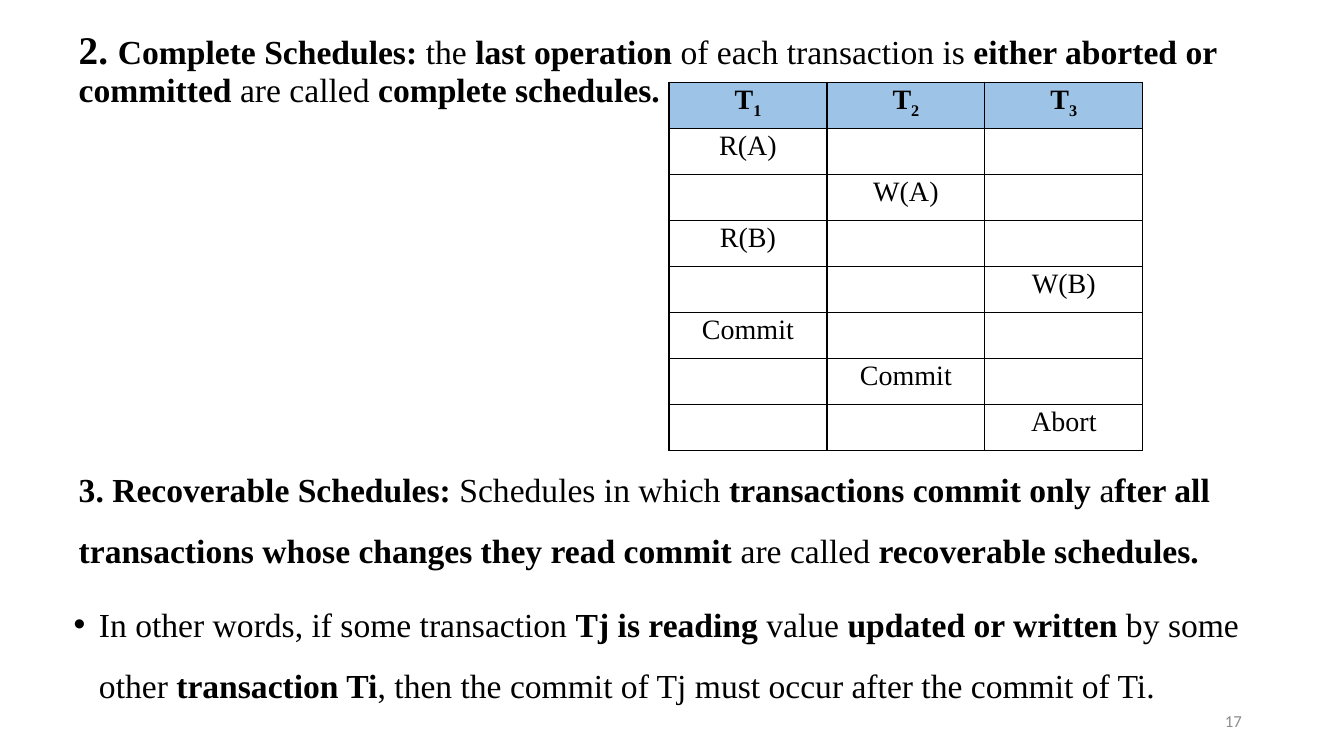
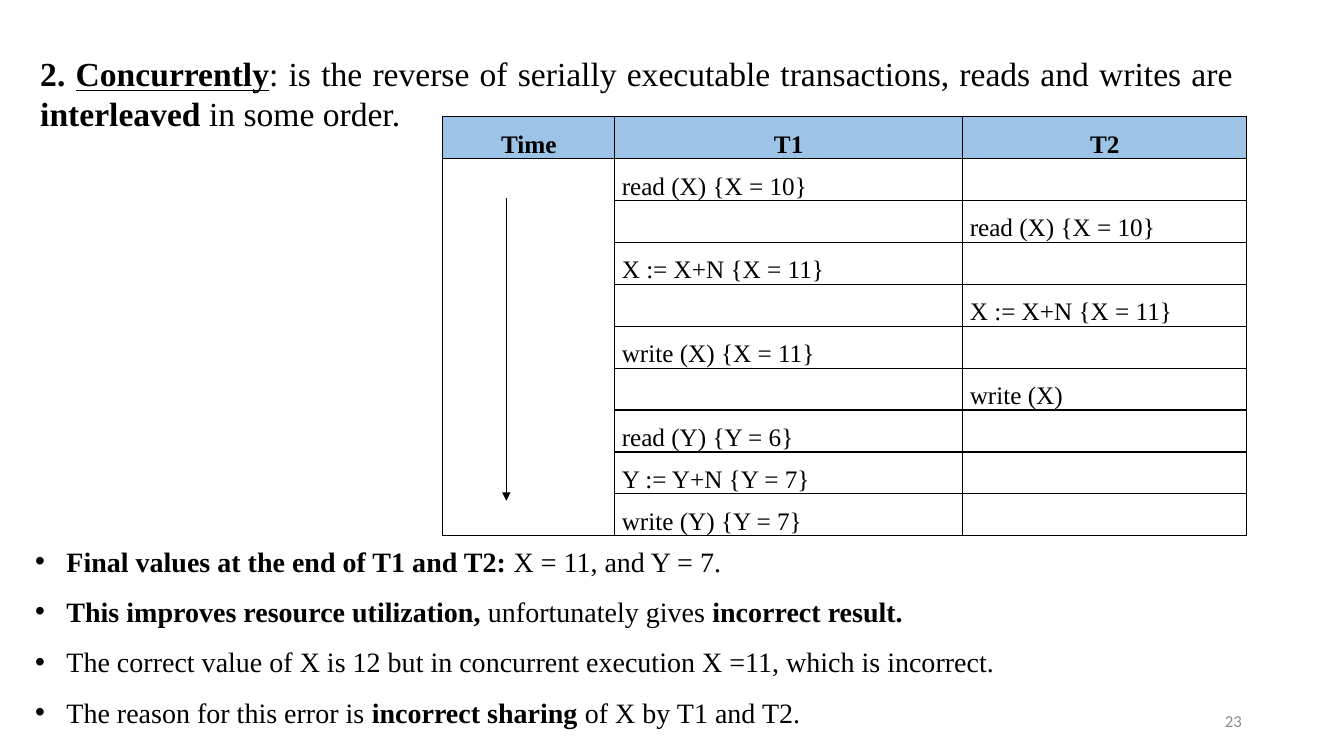
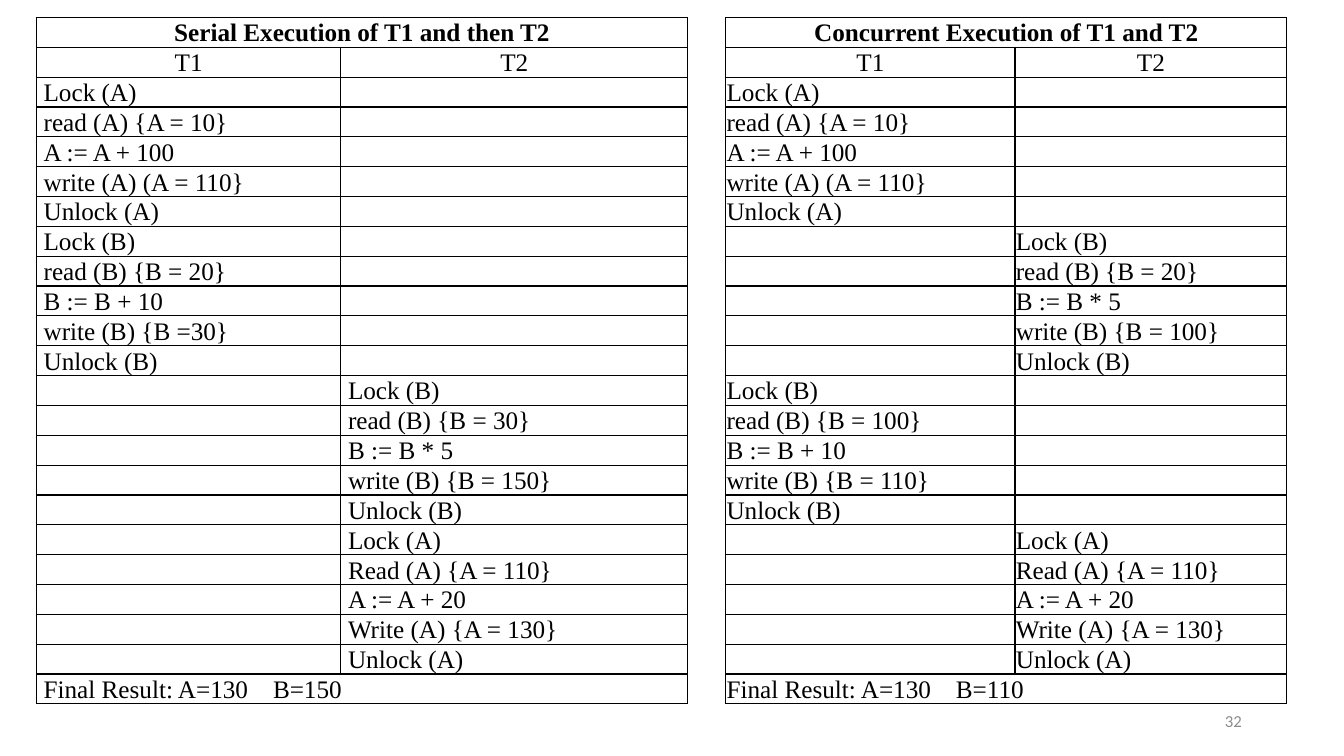
from dataclasses import dataclass
from typing import NamedTuple

from lxml import etree
from pptx import Presentation
from pptx import util as u
from pptx.dml.color import RGBColor
from pptx.enum import shapes, text
from pptx.oxml.ns import qn

SERIF, SANS = "Times New Roman", "Calibri"
BLACK, GREY, HEADER_BLUE = "000000", "8C8C8C", "9DC3E6"
TITLE_AND_BODY, BLANK = 1, 6
LEFT, CENTER = text.PP_ALIGN.LEFT, text.PP_ALIGN.CENTER
RIGHT, JUSTIFY = text.PP_ALIGN.RIGHT, text.PP_ALIGN.JUSTIFY
RESULT_TAB = 5.78


class Box(NamedTuple):
    """Position and size in centimetres."""
    left: float
    top: float
    width: float
    height: float


class Span(NamedTuple):
    words: str
    bold: bool = False
    size: float | None = None
    underline: bool = False
    subscript: bool = False


@dataclass
class Para:
    spans: list[Span]
    size: float
    line: float
    before: float = 0
    align: text.PP_ALIGN = LEFT
    margin: float = 0.13
    hanging: float = 0
    bullet: bool = False


@dataclass
class Grid:
    left: float
    top: float
    widths: list[float]
    row_height: float
    rows: list[list]
    size: float
    line: float | u.Length
    inset: float = 0.18
    header_fill: str | None = None
    centered_rows: int = 1
    body_align: text.PP_ALIGN = LEFT
    merges: tuple = ()


def color(hex_code: str) -> RGBColor:
    return RGBColor.from_string(hex_code)


def set_font(font, size: float, family: str = SERIF, ink: str = BLACK, bold=None) -> None:
    font.name, font.size, font.bold = family, u.Pt(size), bold
    font.color.rgb = color(ink)


def add_spans(para, spans: list[Span]) -> None:
    for part in spans:
        span = para.add_run()
        span.text = part.words
        if part.bold:
            span.font.bold = True
        if part.underline:
            span.font.underline = True
        if part.size:
            span.font.size = u.Pt(part.size)
        if part.subscript:
            span._r.get_or_add_rPr().set("baseline", "-25000")


def fill_placeholder(holder, box: Box, paras: list[Para]) -> None:
    holder.left, holder.top, holder.width, holder.height = map(u.Cm, box)
    frame = holder.text_frame
    frame.word_wrap = True
    frame.auto_size = text.MSO_AUTO_SIZE.NONE
    frame.vertical_anchor = text.MSO_ANCHOR.TOP
    for index, item in enumerate(paras):
        para = frame.add_paragraph() if index else frame.paragraphs[0]
        props = para._p.get_or_add_pPr()
        props.set("marL", str(u.Cm(item.margin)))
        props.set("indent", str(-u.Cm(item.hanging)))
        if item.bullet:
            etree.SubElement(props, qn("a:buFont"), typeface="Arial")
            etree.SubElement(props, qn("a:buChar"), char="•")
        else:
            etree.SubElement(props, qn("a:buNone"))
        para.alignment = item.align
        para.line_spacing = u.Pt(item.line)
        para.space_before = u.Pt(item.before)
        set_font(para.font, item.size, bold=False)
        add_spans(para, item.spans)


def add_page(deck, layout: int, number: int):
    page = deck.slides.add_slide(deck.slide_layouts[layout])
    box = page.shapes.add_textbox(*map(u.Cm, Box(23.93, 17.65, 7.62, 1.02)))
    frame = box.text_frame
    frame.word_wrap = True
    frame.vertical_anchor = text.MSO_ANCHOR.MIDDLE
    para = frame.paragraphs[0]
    para.alignment = RIGHT
    set_font(para.font, 12, SANS, GREY)
    para.add_run().text = str(number)
    return page


def add_borders(cell) -> None:
    props = cell._tc.get_or_add_tcPr()
    for index, side in enumerate(("lnL", "lnR", "lnT", "lnB")):
        line = etree.Element(qn(f"a:{side}"), w=str(u.Pt(1)))
        solid = etree.SubElement(line, qn("a:solidFill"))
        etree.SubElement(solid, qn("a:srgbClr"), val=BLACK)
        props.insert(index, line)


def fill_cell(cell, content, grid: Grid, row: int) -> None:
    cell.margin_left = cell.margin_right = u.Cm(grid.inset)
    cell.margin_top = cell.margin_bottom = 0
    if grid.header_fill and row == 0:
        cell.fill.solid()
        cell.fill.fore_color.rgb = color(grid.header_fill)
    else:
        cell.fill.background()
    add_borders(cell)
    para = cell.text_frame.paragraphs[0]
    if not content:
        # Keep empty cells from stretching their row
        etree.SubElement(para._p, qn("a:endParaRPr"), sz="1200")
        return
    spans = [Span(content)] if isinstance(content, str) else content
    if any("\t" in span.words for span in spans):
        tabs = etree.SubElement(para._p.get_or_add_pPr(), qn("a:tabLst"))
        etree.SubElement(tabs, qn("a:tab"), pos=str(u.Cm(RESULT_TAB)), algn="l")
    para.alignment = CENTER if row < grid.centered_rows else grid.body_align
    para.line_spacing = grid.line
    set_font(para.font, grid.size, bold=row == 0)
    # One family for every script keeps the rows compact
    defaults = para._p.pPr.find(qn("a:defRPr"))
    for script in ("ea", "cs"):
        etree.SubElement(defaults, qn(f"a:{script}"), typeface=SERIF)
    add_spans(para, spans)


def add_grid(page, grid: Grid) -> None:
    count = len(grid.rows)
    box = Box(grid.left, grid.top, sum(grid.widths), grid.row_height * count)
    table = page.shapes.add_table(count, len(grid.widths), *map(u.Cm, box)).table
    table.first_row = table.horz_banding = False
    for column, width in zip(table.columns, grid.widths):
        column.width = u.Cm(width)
    for r, contents in enumerate(grid.rows):
        table.rows[r].height = u.Cm(grid.row_height)
        for c, content in enumerate(contents):
            fill_cell(table.cell(r, c), content, grid, r)
    for first, last in grid.merges:
        table.cell(*first).merge(table.cell(*last))


def stagger(columns: int, *blocks: tuple[int, list[str]]) -> list[list[str]]:
    """One row per step, each step placed in the column of its transaction."""
    return [[step if c == column else "" for c in range(columns)]
            for column, steps in blocks for step in steps]


def add_arrow(page, x: float, top: float, bottom: float) -> None:
    arrow = page.shapes.add_connector(
        shapes.MSO_CONNECTOR.STRAIGHT, u.Cm(x), u.Cm(top), u.Cm(x), u.Cm(bottom))
    arrow.line.color.rgb = color(BLACK)
    arrow.line.width = u.Pt(0.75)
    etree.SubElement(arrow.line._get_or_add_ln(), qn("a:tailEnd"), type="triangle")
    etree.SubElement(arrow._element.spPr, qn("a:effectLst"))


def complete_schedules(deck) -> None:
    page = add_page(deck, TITLE_AND_BODY, 17)
    title = [
        Span("2. ", True, size=28), Span("Complete Schedules: ", True), Span("the "),
        Span("last operation ", True), Span("of each transaction is "),
        Span("either aborted or committed ", True), Span("are called "),
        Span("complete schedules.", True)]
    recoverable = [
        Span("3. Recoverable Schedules: ", True), Span("Schedules in which "),
        Span("transactions commit only ", True), Span("a"),
        Span("fter all transactions whose changes they read commit ", True),
        Span("are called "), Span("recoverable schedules.", True)]
    in_other_words = [
        Span("In other words, if some transaction "), Span("Tj is reading ", True),
        Span("value "), Span("updated or written ", True), Span("by some other "),
        Span("transaction Ti", True),
        Span(", then the commit of Tj must occur after the commit of Ti.")]
    fill_placeholder(page.shapes.title, Box(1.6, 0.76, 31.6, 2.2),
                     [Para(title, 24, 26.4)])
    fill_placeholder(page.placeholders[1], Box(1.6, 11.16, 31.6, 7.3), [
        Para(recoverable, 24, 43.6),
        Para(in_other_words, 24, 43.6, before=9.3, margin=0.64, hanging=0.64,
             bullet=True)])
    # Schedule of three transactions
    header = [[Span("T"), Span(str(n), subscript=True)] for n in (1, 2, 3)]
    steps = stagger(3, (0, ["R(A)"]), (1, ["W(A)"]), (0, ["R(B)"]), (2, ["W(B)"]),
                    (0, ["Commit"]), (1, ["Commit"]), (2, ["Abort"]))
    add_grid(page, Grid(16.86, 2.07, [3.98] * 3, 1.16, [header] + steps, 20, 1.07,
                        header_fill=HEADER_BLUE, body_align=CENTER))


def concurrent_schedule(deck) -> None:
    page = add_page(deck, TITLE_AND_BODY, 23)
    title = [
        Span("2. ", True), Span("Concurrently", True, underline=True),
        Span(": is the reverse of serially executable transactions, reads and writes are "),
        Span("interleaved", True), Span(" in some order.")]
    fill_placeholder(page.shapes.title, Box(0.63, 1.22, 30.7, 2.4),
                     [Para(title, 24, 28.6, align=JUSTIFY)])
    # Conclusions
    points = [
        [Span("Final values at the end of T1 and T2:", True), Span(" X = 11, and Y = 7.")],
        [Span("This improves resource utilization,", True),
         Span(" unfortunately gives "), Span("incorrect result.", True)],
        [Span("The correct value of X is 12 but in concurrent execution X =11, "
              "which is incorrect.")],
        [Span("The reason for this error is "), Span("incorrect sharing ", True),
         Span("of X by T1 and T2.")]]
    fill_placeholder(page.placeholders[1], Box(0.63, 13.16, 30.33, 5.5), [
        Para(spans, 20, 36, align=JUSTIFY, margin=0.79, hanging=0.79, bullet=True)
        for spans in points])
    # Interleaved steps along the time arrow
    steps = stagger(
        3, (1, ["read (X) {X = 10}"]), (2, ["read (X) {X = 10}"]),
        (1, ["X := X+N {X = 11}"]), (2, ["X := X+N {X = 11}"]),
        (1, ["write (X) {X = 11}"]), (2, ["write (X)"]),
        (1, ["read (Y) {Y = 6}", "Y := Y+N {Y = 7}", "write (Y) {Y = 7}"]))
    add_grid(page, Grid(11.16, 2.94, [4.33, 8.77, 7.16], 1.05,
                        [["Time", "T1", "T2"]] + steps, 18, u.Pt(29.9),
                        header_fill=HEADER_BLUE, merges=(((1, 0), (9, 0)),)))
    add_arrow(page, 12.76, 4.98, 12.62)


def add_execution(page, left: float, widths: list[float], inset: float, heading: str,
                  steps: list[list[str]], result: str) -> None:
    rows = [[heading, ""], ["T1", "T2"], *steps, [result, ""]]
    last = len(rows) - 1
    add_grid(page, Grid(left, 0.44, widths, 0.75, rows, 18, u.Pt(21.3), inset,
                        centered_rows=2,
                        merges=(((0, 0), (0, 1)), ((last, 0), (last, 1)))))


def locking_comparison(deck) -> None:
    page = add_page(deck, BLANK, 32)
    t1_on_a = ["Lock (A)", "read (A) {A = 10}", "A := A + 100",
               "write (A) (A = 110}", "Unlock (A)"]
    t2_on_a = ["Lock (A)", "Read (A) {A = 110}", "A := A + 20",
               "Write (A) {A = 130}", "Unlock (A)"]

    def on_b(start: str, change: str, end: str) -> list[str]:
        return ["Lock (B)", f"read (B) {{B = {start}}}", f"B := B {change}",
                f"write (B) {{B ={end}}}", "Unlock (B)"]

    serial = stagger(2, (0, t1_on_a + on_b("20", "+ 10", "30")),
                     (1, on_b("30", "* 5", " 150") + t2_on_a))
    concurrent = stagger(2, (0, t1_on_a), (1, on_b("20", "* 5", " 100")),
                         (0, on_b("100", "+ 10", " 110")), (1, t2_on_a))
    add_execution(page, 18.29, [7.29, 6.85], 0.02, "Concurrent Execution of T1 and T2",
                  concurrent, "Final Result: A=130\tB=110")
    add_execution(page, 0.92, [7.67, 8.74], 0.18, "Serial Execution of T1 and then T2",
                  serial, "Final Result: A=130\tB=150")


def main() -> None:
    deck = Presentation()
    deck.slide_width, deck.slide_height = u.Cm(33.87), u.Cm(19.05)
    complete_schedules(deck)
    concurrent_schedule(deck)
    locking_comparison(deck)
    deck.save("out.pptx")


if __name__ == "__main__":
    main()
